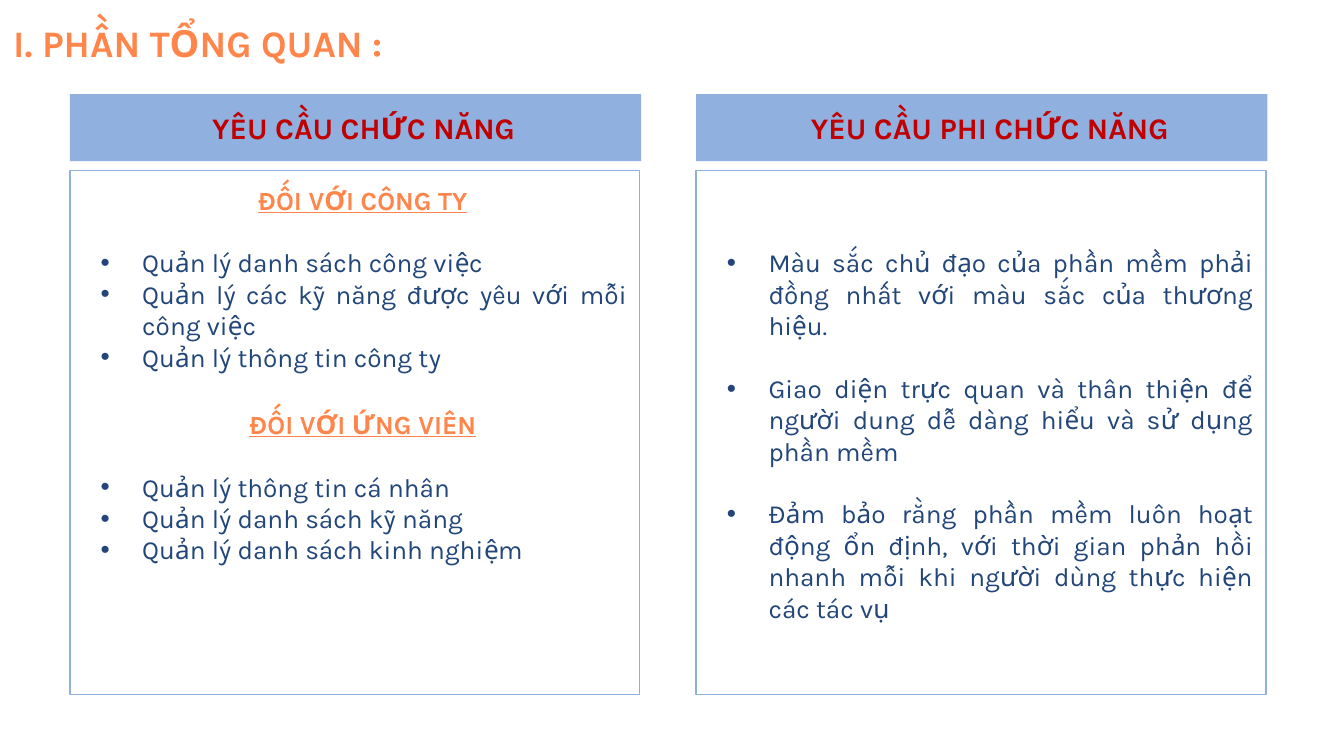
from lxml.etree import SubElement
from pptx import Presentation
from pptx.dml.color import RGBColor
from pptx.enum.shapes import MSO_SHAPE
from pptx.enum.text import MSO_ANCHOR, PP_ALIGN
from pptx.oxml.ns import qn
from pptx.util import Inches, Pt

ORANGE = RGBColor(0xFF, 0x85, 0x4A)
RED = RGBColor(0xC0, 0x00, 0x00)
NAVY = RGBColor(0x22, 0x46, 0x7A)
BLUE = RGBColor(0x90, 0xB1, 0xE0)

SLIDE_WIDTH = 10
LEFT, COLUMN_STEP, COLUMN_WIDTH = 0.52, 4.66, 4.25
HEADER_TOP, HEADER_HEIGHT = 0.7, 0.5
BODY_TOP, BODY_HEIGHT = 1.27, 3.9
INSET = 0.1
LINE = 16.8  # points taken by one line of 14 pt text

prs = Presentation()
prs.slide_width = Inches(SLIDE_WIDTH)
prs.slide_height = Inches(SLIDE_WIDTH * 9 / 16)
slide = prs.slides.add_slide(prs.slide_layouts[6])


def add_panel(left, top, width, height, anchor, fill=None, line=None, top_inset=INSET):
    """Add a rectangle with the given insets and return its text frame."""
    panel = slide.shapes.add_shape(
        MSO_SHAPE.RECTANGLE, Inches(left), Inches(top), Inches(width), Inches(height))
    panel.shadow.inherit = False
    for part, color in ((panel.fill, fill), (panel.line.fill, line)):
        if color is None:
            part.background()
        else:
            part.solid()
            part.fore_color.rgb = color
    if line is not None:
        panel.line.width = Pt(0.75)
    frame = panel.text_frame
    frame.word_wrap = True
    frame.vertical_anchor = anchor
    frame.margin_left = frame.margin_right = frame.margin_bottom = Inches(INSET)
    frame.margin_top = Inches(top_inset)
    return frame


def write(frame, text, size=14, color=NAVY, bold=False, underline=False,
          align=PP_ALIGN.LEFT, margin=0.0, bullet=False, before=0.0):
    """Fill the empty first paragraph of the frame, or append a new one."""
    paragraph = frame.paragraphs[0] if not frame.text else frame.add_paragraph()
    paragraph.alignment = align
    paragraph.space_before = Pt(before)
    run = paragraph.add_run()
    run.text = text
    run.font.name, run.font.size = "Karla", Pt(size)
    run.font.bold, run.font.underline = bold, underline
    run.font.color.rgb = color
    properties = paragraph._p.get_or_add_pPr()
    properties.set("marL", str(Inches(margin)))
    properties.set("indent", str(Inches(-0.31 if bullet else 0)))
    if bullet:
        bullet_color = SubElement(properties, qn("a:buClr"))
        SubElement(bullet_color, qn("a:srgbClr")).set("val", str(color))
        SubElement(properties, qn("a:buFont")).set("typeface", "Arial")
        SubElement(properties, qn("a:buChar")).set("char", "•")


title = add_panel(0, 0, 8.44, 0.63, MSO_ANCHOR.MIDDLE)
write(title, "I. PHẦN TỔNG QUAN :", size=20, color=ORANGE, bold=True)

# Each column: header, lines left free at the top, gap between bullets, groups.
# Each group: heading, bullet alignment, bullets.
columns = [
    ("YÊU CẦU CHỨC NĂNG", 0, 0, [
        ("ĐỐI VỚI CÔNG TY", PP_ALIGN.JUSTIFY, [
            "Quản lý danh sách công việc",
            "Quản lý các kỹ năng được yêu với mỗi công việc",
            "Quản lý thông tin công ty"]),
        ("ĐỐI VỚI ỨNG VIÊN", PP_ALIGN.LEFT, [
            "Quản lý thông tin cá nhân",
            "Quản lý danh sách kỹ năng",
            "Quản lý danh sách kinh nghiệm"]),
    ]),
    ("YÊU CẦU PHI CHỨC NĂNG", 2, LINE, [
        (None, PP_ALIGN.JUSTIFY, [
            "Màu sắc chủ đạo của phần mềm phải đồng nhất với màu sắc của thương hiệu.",
            "Giao diện trực quan và thân thiện để người dung dễ dàng hiểu và sử dụng phần mềm",
            "Đảm bảo rằng phần mềm luôn hoạt động ổn định, với thời gian phản hồi "
            "nhanh mỗi khi người dùng thực hiện các tác vụ"]),
    ]),
]

for column, (header, free_lines, bullet_gap, groups) in enumerate(columns):
    left = LEFT + column * COLUMN_STEP
    header_frame = add_panel(left, HEADER_TOP, COLUMN_WIDTH, HEADER_HEIGHT,
                             MSO_ANCHOR.MIDDLE, fill=BLUE)
    write(header_frame, header, size=16, color=RED, bold=True,
          align=PP_ALIGN.CENTER, margin=0.12)

    body = add_panel(left, BODY_TOP, COLUMN_WIDTH - 0.01, BODY_HEIGHT, MSO_ANCHOR.TOP,
                     line=BLUE, top_inset=INSET + free_lines * LINE / 72)
    for group, (heading, align, bullets) in enumerate(groups):
        if heading:
            write(body, heading, color=ORANGE, bold=True, underline=True,
                  align=PP_ALIGN.CENTER, margin=0.12, before=19.2 if group else 0)
        for position, bullet in enumerate(bullets):
            first_gap = LINE if heading else 0
            write(body, bullet, align=align, margin=0.44, bullet=True,
                  before=bullet_gap if position else first_gap)

prs.save("out.pptx")
